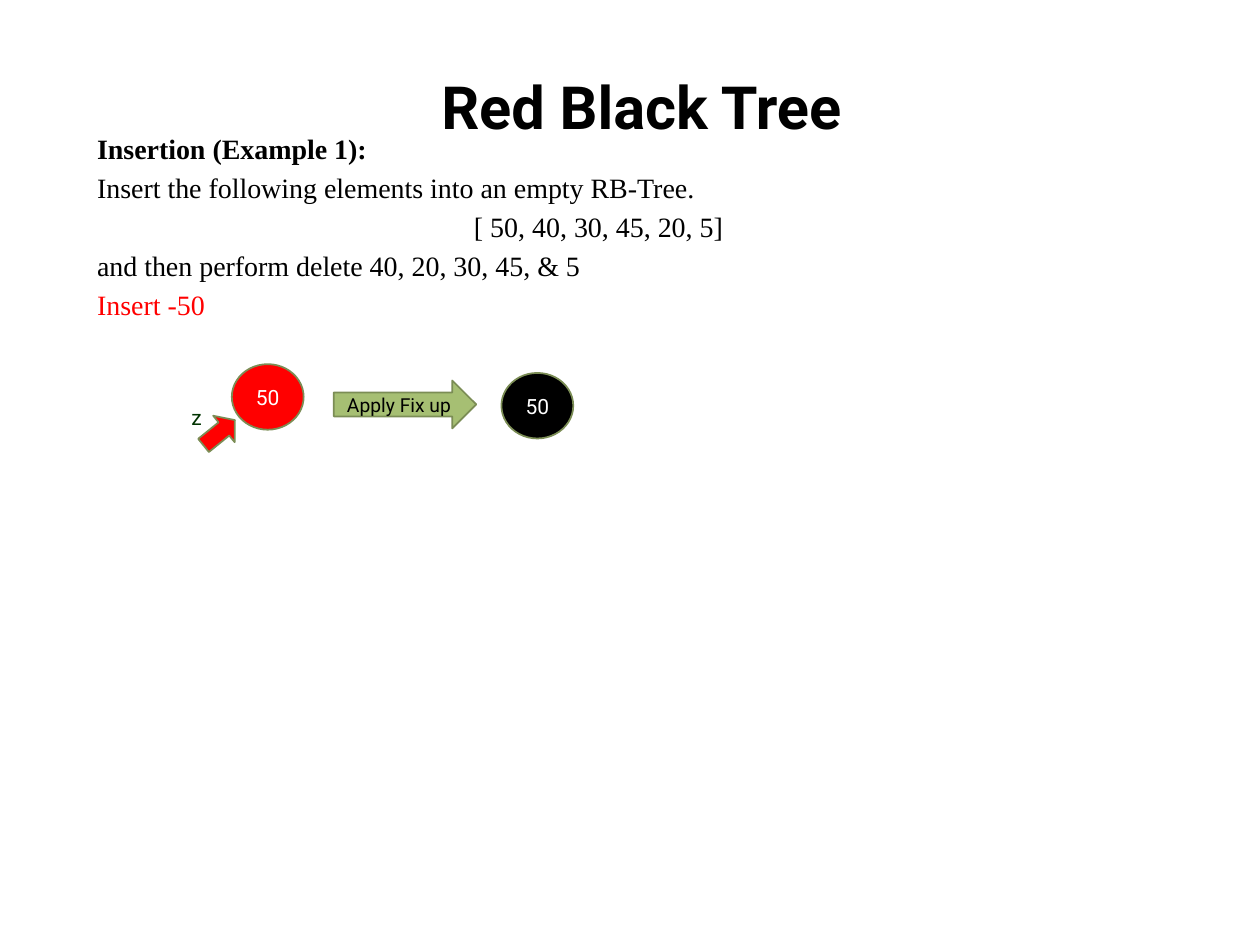
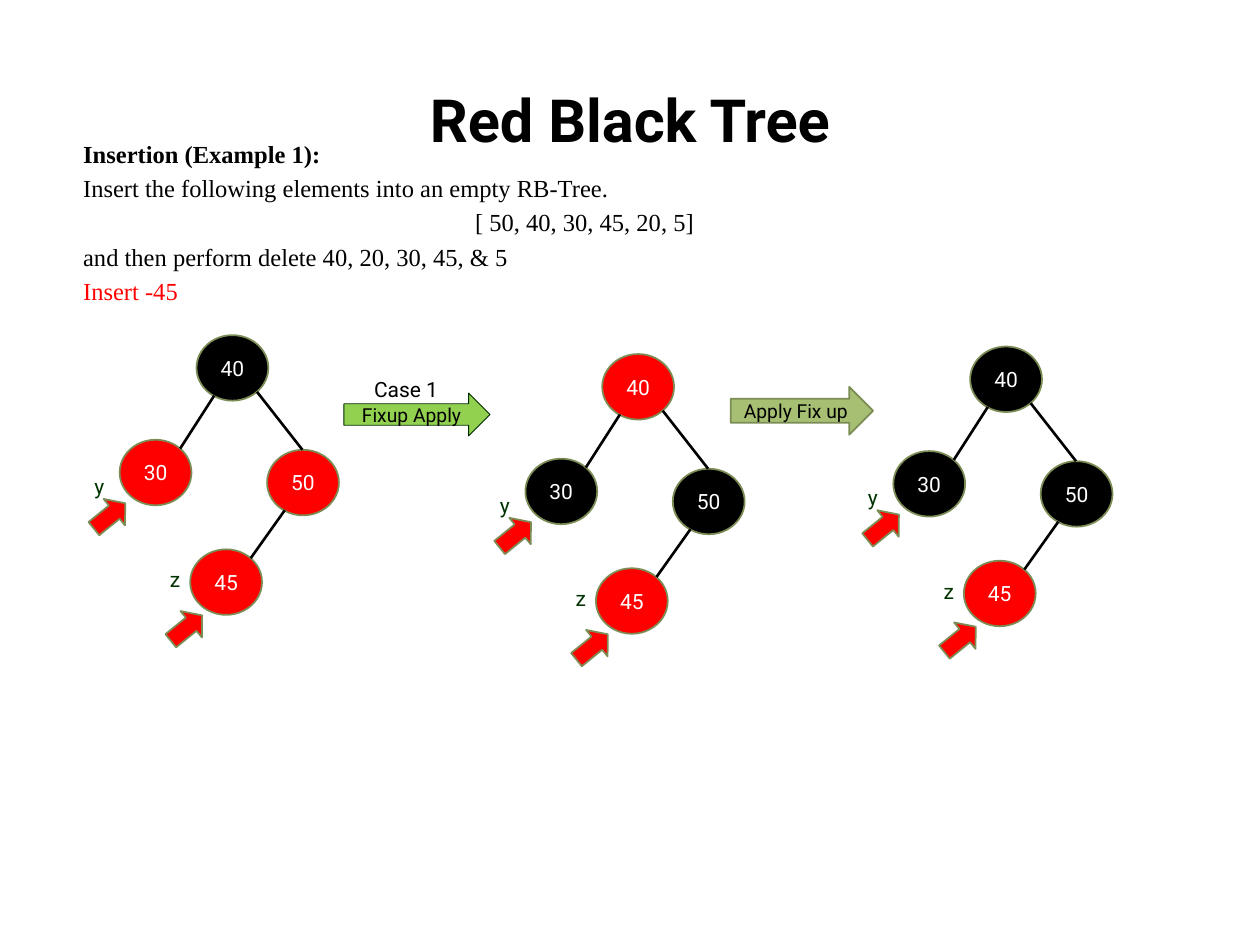
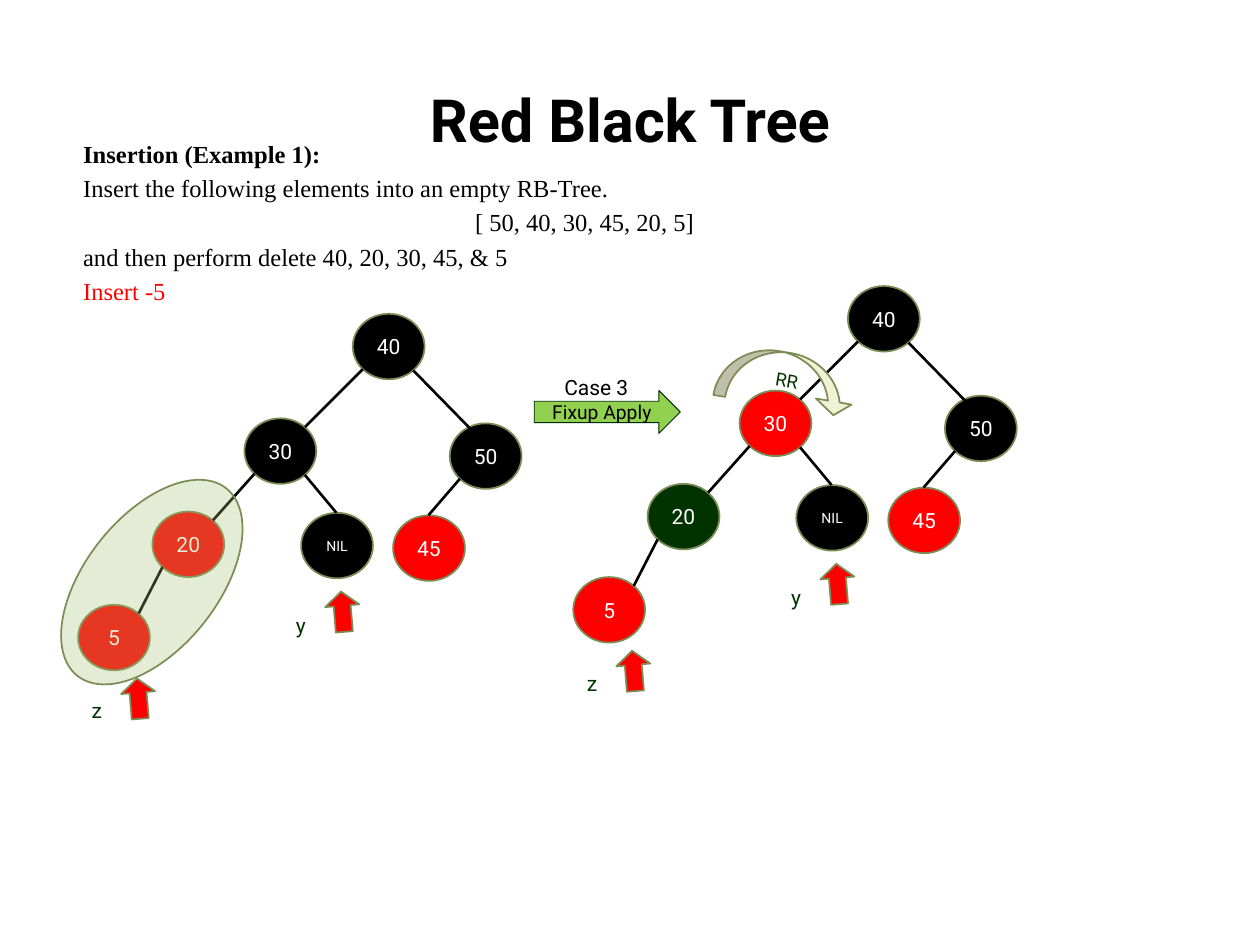
"""Builds three slides on insertion into a red-black tree."""
from pptx import Presentation
from pptx.dml.color import RGBColor
from pptx.enum.shapes import MSO_CONNECTOR, MSO_SHAPE
from pptx.enum.text import MSO_ANCHOR, MSO_AUTO_SIZE, PP_ALIGN
from pptx.oxml.ns import qn
from pptx.util import Pt
from lxml import etree

PX = 9144
OVAL, ARROW, CURVE = MSO_SHAPE.OVAL, MSO_SHAPE.RIGHT_ARROW, MSO_SHAPE.CURVED_DOWN_ARROW
LINE = MSO_CONNECTOR.STRAIGHT
LEFT, MID, JUST = PP_ALIGN.LEFT, PP_ALIGN.CENTER, PP_ALIGN.JUSTIFY
CENTER, NOFIT = MSO_ANCHOR.MIDDLE, MSO_AUTO_SIZE.NONE
SANS, SERIF = "Roboto", "Times New Roman"
BLACK, WHITE, RED, DARK = "000000", "FFFFFF", "FF0000", "003300"
EDGE, OLIVE, LIME, DEEP, CREAM = "7B8D55", "A6BF73", "92D050", "002A00", "F1F1D5"
NODE = (57, 52)
SITES = {"N": (28, 0), "NE": (48, 7), "NW": (17, 5),
         "SW": (8, 44), "SE": (48, 45), "S": (14, 48)}

TITLE = "Red Black Tree"
INTRO = [
    ("Insertion (Example 1):", JUST),
    ("Insert the following elements into an empty RB-Tree.", JUST),
    ("[ 50, 40, 30, 45, 20, 5]", MID),
    ("and then perform delete 40, 20, 30, 45, & 5", LEFT),
]
LAYOUTS = {
    "one": {"nodes": {"50": (0, 0)}, "edges": [], "tilt": 321,
            "marks": [("z", (-42, 27), (-26, 41))]},
    "four": {"nodes": {"40": (0, 0), "50": (56, 91), "30": (-61, 83), "45": (-5, 170)},
             "edges": [("40", "SE", "50", "N"), ("40", "S", "30", "NE"),
                       ("50", "S", "45", "NE")],
             "tilt": 321,
             "marks": [("z", (-31, 179), (-24, 219)), ("y", (-91, 105), (-85, 130))]},
    "seven": {"nodes": {"40": (0, 0), "50": (77, 87), "30": (-86, 83), "45": (32, 160),
                        "20": (-159, 157), "5": (-218, 231), "NIL": (-41, 158)},
              "edges": [("40", "SE", "50", "NW"), ("40", "SW", "30", "NE"),
                        ("50", "SW", "45", "N"), ("30", "SW", "20", "NE"),
                        ("20", "SW", "5", "NE"), ("30", "SE", "NIL", "N")],
              "tilt": 265.3,
              "marks": [("z", (-217, 300), (-186, 292)), ("y", (-55, 232), (-24, 223))]},
}
SLIDES = [
    {"title": (59, 44), "intro": (67, 99, 816, 134), "size": 16, "last": "Insert -50",
     "trees": [("one", (184, 289), {"50": RED})],
     "apply": [(265, 302)], "plain": [("50", (398, 296))]},
    {"title": (50, 55), "intro": (56, 105, 816, 121), "size": 14, "last": "Insert -45",
     "cases": [("Case 1", (273, 312))],
     "trees": [("four", (156, 266), {"30": RED, "50": RED, "45": RED}),
               ("four", (478, 281), {"40": RED, "45": RED}),
               ("four", (770, 275), {"45": RED})],
     "apply": [(580, 307)]},
    {"title": (50, 55), "intro": (56, 105, 816, 121), "size": 14, "last": "Insert -5",
     "cases": [("Case 3", (424, 310))],
     "trees": [("seven", (280, 249), {"20": RED, "5": RED, "45": RED}),
               ("seven", (673, 227), {"30": RED, "20": DARK, "5": RED, "45": RED})],
     "halo": (68, 367, 105, 190), "turn": (569, 280, 111, 43)},
]


def rgb(code):
    """Turn a hex string into a colour."""
    return RGBColor.from_string(code)


def emu(nums):
    """Scale px to EMU."""
    return [n * PX for n in nums]


def shift(a, b):
    """Add two points."""
    return a[0] + b[0], a[1] + b[1]


def write(par, text, size, color, face=SANS, bold=False):
    """Add one run to a paragraph."""
    run = par.add_run()
    run.text = text
    font = run.font
    font.size, font.name, font.bold = Pt(size), face, bold
    font.color.rgb = rgb(color)


def shape(slide, kind, at, fill, edge=EDGE, width=1, text="", size=12, color=WHITE,
          turn=0, adj=()):
    """Draw a preset shape with centred text."""
    item = slide.shapes.add_shape(kind, *emu(at))
    item.shadow.inherit = False
    item.rotation = turn
    for i, value in enumerate(adj):
        item.adjustments[i] = value
    item.fill.solid()
    item.fill.fore_color.rgb = rgb(fill)
    item.line.color.rgb = rgb(edge)
    item.line.width = Pt(width)
    if text:
        frame = item.text_frame
        frame.word_wrap = False
        frame.vertical_anchor = CENTER
        frame.paragraphs[0].alignment = MID
        write(frame.paragraphs[0], text, size, color)
    return item


def label(slide, text, at, color):
    """Draw a free label."""
    frame = slide.shapes.add_textbox(*emu(at)).text_frame
    frame.word_wrap = True
    write(frame.paragraphs[0], text, 12, color)


def node(slide, key, spot, fill=BLACK):
    """Draw one tree node."""
    shape(slide, OVAL, spot + NODE, fill, text=key, size=8 if key == "NIL" else 12)


def link(slide, start, end):
    """Draw one tree edge."""
    line = slide.shapes.add_connector(LINE, *emu(start + end))
    line.line.color.rgb = rgb(BLACK)
    line.line.width = Pt(1.5)
    etree.SubElement(line._element.spPr, qn("a:effectLst"))


def tree(slide, name, root, fills):
    """Draw a tree with its pointer marks."""
    plan = LAYOUTS[name]
    spots = {key: shift(root, off) for key, off in plan["nodes"].items()}
    for key, spot in spots.items():
        node(slide, key, spot, fills.get(key, BLACK))
    for top, out, low, into in plan["edges"]:
        link(slide, shift(spots[top], SITES[out]), shift(spots[low], SITES[into]))
    for text, word, tip in plan["marks"]:
        label(slide, text, shift(root, word) + (27, 30), DARK)
        shape(slide, ARROW, shift(root, tip) + (32, 27), RED,
              turn=plan["tilt"], adj=(0.5, 0.415))


def heads(slide, page):
    """Fill the title and the introduction."""
    title, body = slide.placeholders
    title.left, title.top, title.width, title.height = emu(page["title"] + (900, 79))
    frame = title.text_frame
    frame.auto_size, frame.vertical_anchor = NOFIT, CENTER
    frame.paragraphs[0].alignment = MID
    write(frame.paragraphs[0], TITLE, 34, BLACK, bold=True)
    body.left, body.top, body.width, body.height = emu(page["intro"])
    frame = body.text_frame
    frame.auto_size = NOFIT
    rows = INTRO + [(page["last"], LEFT)]
    for i, (text, align) in enumerate(rows):
        par = frame.add_paragraph() if i else frame.paragraphs[0]
        props = par._p.get_or_add_pPr()
        props.set("marL", "0")
        props.set("indent", "0")
        etree.SubElement(props, qn("a:buNone"))
        par.alignment = align
        if not i:
            par.space_before = Pt(0)
        color = RED if i == len(rows) - 1 else BLACK
        write(par, text, page["size"], color, SERIF, i == 0)


def draw(slide, page):
    """Draw all parts of one slide."""
    heads(slide, page)
    for text, spot in page.get("cases", []):
        shape(slide, ARROW, spot + (116, 34), LIME, DEEP, 0.5, "Fixup Apply", 11, BLACK)
        label(slide, text, shift(spot, (14, -18)) + (79, 30), BLACK)
    for name, root, fills in page["trees"]:
        tree(slide, name, root, fills)
    for spot in page.get("apply", []):
        shape(slide, ARROW, spot + (113, 38), OLIVE, text="Apply Fix up", size=11, color=BLACK)
    for key, spot in page.get("plain", []):
        node(slide, key, spot)
    if "halo" in page:
        halo = shape(slide, OVAL, page["halo"], OLIVE, turn=38.5)
        tint = halo._element.spPr.find(qn("a:solidFill"))[0]
        etree.SubElement(tint, qn("a:alpha"), val="29000")
    if "turn" in page:
        shape(slide, CURVE, page["turn"], CREAM, text="RR", size=10.5, color=DARK,
              turn=9.6, adj=(0.221, 0.669, 0.25))


def main():
    """Build and save the deck."""
    deck = Presentation()
    deck.slide_width, deck.slide_height = emu((1000, 750))
    for page in SLIDES:
        draw(deck.slides.add_slide(deck.slide_layouts[1]), page)
    deck.save("out.pptx")


if __name__ == "__main__":
    main()
